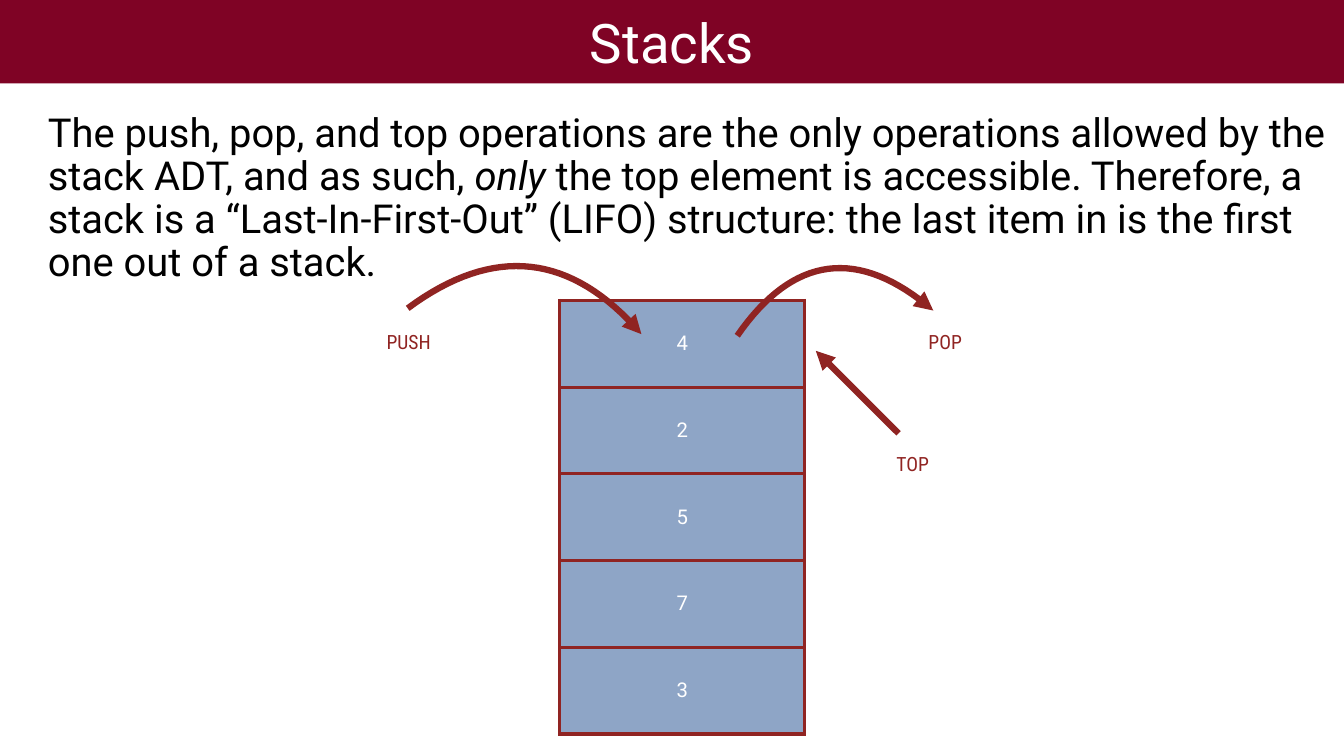
from lxml import etree
from pptx import Presentation
from pptx.dml.color import RGBColor
from pptx.enum import shapes, text
from pptx.oxml import ns
from pptx.util import Cm, Pt

# Content (lengths in cm)
TITLE = "Stacks"
BODY = [
    ("The push, pop, and top operations are the only operations allowed by the "
     "stack ADT, and as such, ", False),
    ("only", True),
    (" the top element is accessible. Therefore, a stack is a “Last-In-First-Out” "
     "(LIFO) structure: the last item in is the first one out of a stack.", False),
]
STACK = ["4", "2", "5", "7", "3"]
LABELS = [  # text, left, top, width
    ("PUSH", 18.36, 15.9, 4.47),
    ("POP", 45.9, 15.9, 3.48),
    ("TOP", 44.3, 22.02, 3.4),
]
CURVES = [  # Bézier control points of the push and pop arrows
    [(20.55, 15.54), (24.89, 12.32), (28.8, 12.75), (32.33, 16.84)],
    [(37.16, 16.92), (39.98, 12.85), (43.28, 12.42), (47.04, 15.65)],
]
TOP_ARROW = [(45.29, 21.84), (41.12, 17.68)]

MAROON, RED, BLUE, WHITE, BLACK = "7F0325", "902422", "8EA5C6", "FFFFFF", "000000"
MARGIN = Cm(0.15)
CURVE_STEPS = 32


def color(value):
    return RGBColor.from_string(value)


def write(frame, runs, size, hue, font="Roboto", align=text.PP_ALIGN.CENTER):
    """Fill a text frame with one paragraph of (text, italic) runs."""
    paragraph = frame.paragraphs[0]
    paragraph.alignment = align
    for words, italic in [(runs, False)] if isinstance(runs, str) else runs:
        run = paragraph.add_run()
        run.text = words
        run.font.name, run.font.size = font, Pt(size)
        run.font.bold, run.font.italic = False, italic
        run.font.color.rgb = color(hue)
    return paragraph


def set_frame(frame, anchor=text.MSO_ANCHOR.MIDDLE):
    frame.word_wrap = True
    frame.auto_size = text.MSO_AUTO_SIZE.NONE
    frame.vertical_anchor = anchor
    frame.margin_left = frame.margin_right = MARGIN
    frame.margin_top = frame.margin_bottom = MARGIN


def style_arrow(shape):
    shape.line.color.rgb = color(RED)
    shape.line.width = Pt(9)
    properties = shape._element.spPr
    etree.SubElement(properties.find(ns.qn("a:ln")), ns.qn("a:tailEnd"), type="triangle")
    etree.SubElement(properties, ns.qn("a:effectLst"))


def add_border(cell):
    properties = cell._tc.get_or_add_tcPr()
    for side in ("lnL", "lnR", "lnT", "lnB"):
        line = etree.SubElement(properties, ns.qn(f"a:{side}"), w=str(Pt(5)))
        fill = etree.SubElement(line, ns.qn("a:solidFill"))
        etree.SubElement(fill, ns.qn("a:srgbClr"), val=RED)


def curve_points(controls):
    """Sample a cubic Bézier curve at equal parameter steps."""
    for step in range(CURVE_STEPS + 1):
        t = step / CURVE_STEPS
        weights = ((1 - t) ** 3, 3 * t * (1 - t) ** 2, 3 * t * t * (1 - t), t ** 3)
        yield tuple(Cm(sum(w * p[axis] for w, p in zip(weights, controls)))
                    for axis in (0, 1))


def main():
    presentation = Presentation()
    presentation.slide_width, presentation.slide_height = Cm(67.74), Cm(38.1)
    slide = presentation.slides.add_slide(presentation.slide_layouts[5])

    # Banner
    banner = slide.shapes.add_shape(
        shapes.MSO_SHAPE.RECTANGLE, Cm(-0.15), Cm(-0.03), Cm(68.05), Cm(4.24))
    banner.shadow.inherit = False
    banner.fill.solid()
    banner.fill.fore_color.rgb = color(MAROON)
    banner.line.fill.background()
    set_frame(banner.text_frame)
    write(banner.text_frame, TITLE, 78, WHITE)

    # Explanation in the title placeholder
    body = slide.shapes.title
    body.left, body.top, body.width, body.height = Cm(1.19), Cm(5.54), Cm(66.09), Cm(18.62)
    set_frame(body.text_frame, text.MSO_ANCHOR.TOP)
    paragraph = write(body.text_frame, BODY, 57, BLACK, align=text.PP_ALIGN.LEFT)
    paragraph.line_spacing = 0.9
    paragraph.space_before = Pt(0)
    indent = paragraph._p.get_or_add_pPr()
    indent.set("marL", str(Cm(1.07)))
    indent.set("indent", "0")

    # Stack
    row_height = Cm(4.37)
    table = slide.shapes.add_table(
        len(STACK), 1, Cm(28.22), Cm(15.14), Cm(12.34), row_height * len(STACK)).table
    table.first_row = table.horz_banding = False
    for row, value in enumerate(STACK):
        table.rows[row].height = row_height
        cell = table.cell(row, 0)
        add_border(cell)
        cell.fill.solid()
        cell.fill.fore_color.rgb = color(BLUE)
        cell.vertical_anchor = text.MSO_ANCHOR.MIDDLE
        cell.margin_left = cell.margin_right = MARGIN
        cell.margin_top = cell.margin_bottom = MARGIN
        write(cell.text_frame, value, 29, WHITE)

    # Push and pop arrows
    for controls in CURVES:
        start, *rest = curve_points(controls)
        builder = slide.shapes.build_freeform(*start)
        builder.add_line_segments(rest, close=False)
        curve = builder.convert_to_shape()
        curve.fill.background()
        style_arrow(curve)

    # Top arrow
    ends = [Cm(value) for point in TOP_ARROW for value in point]
    style_arrow(slide.shapes.add_connector(shapes.MSO_CONNECTOR.STRAIGHT, *ends))

    # Labels
    for words, left, top, width in LABELS:
        label = slide.shapes.add_textbox(Cm(left), Cm(top), Cm(width), Cm(2.67))
        set_frame(label.text_frame)
        write(label.text_frame, words, 28, RED, font="Roboto Condensed")

    presentation.save("out.pptx")


if __name__ == "__main__":
    main()
